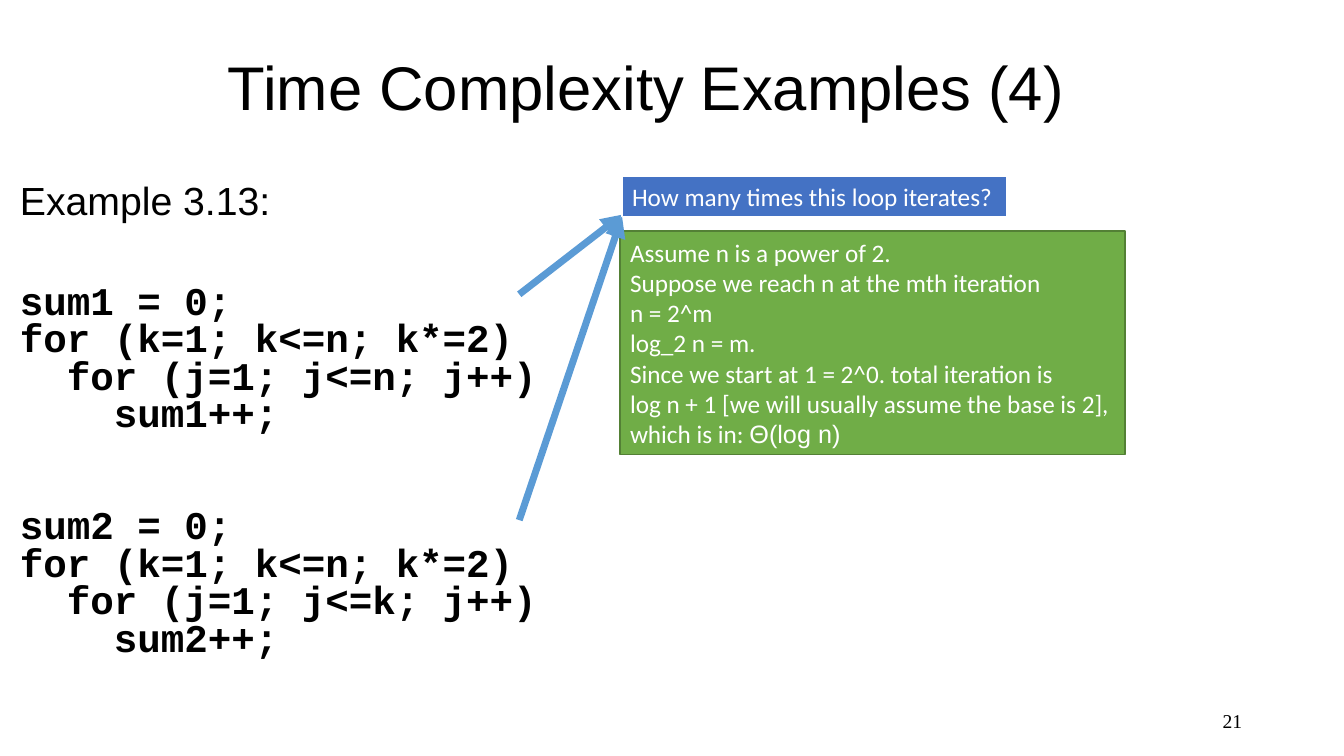
from pptx import Presentation
from pptx.dml.color import RGBColor
from pptx.enum.shapes import MSO_CONNECTOR, MSO_SHAPE
from pptx.enum.text import MSO_ANCHOR, MSO_AUTO_SIZE, PP_ALIGN
from pptx.oxml.ns import qn
from pptx.util import Pt
from lxml.etree import SubElement

EMU_PER_PX = 9144

ANSWER = [
    "Assume n is a power of 2.",
    "Suppose we reach n at the mth iteration",
    "n = 2^m",
    "log_2 n = m.",
    "Since we start at 1 = 2^0. total iteration is",
    "log n + 1 [we will usually assume the base is 2],",
    "which is in: ",
]


def px(length):
    return length * EMU_PER_PX


def color(value):
    return RGBColor.from_string(value)


def loop_code(total, limit):
    return [
        f"{total} = 0;",
        "for (k=1; k<=n; k*=2)",
        f"  for (j=1; j<={limit}; j++)",
        f"    {total}++;",
    ]


def set_font(font, name, size, value="000000", bold=False):
    font.name = name
    font.size = Pt(size)
    font.bold = bold
    font.color.rgb = color(value)


def add_text(slide, left, top, width, height, anchor=MSO_ANCHOR.TOP):
    shape = slide.shapes.add_textbox(px(left), px(top), px(width), px(height))
    frame = shape.text_frame
    frame.word_wrap = True
    frame.vertical_anchor = anchor
    return frame


def add_line_of_text(frame, text, name, size):
    paragraph = frame.paragraphs[0]
    paragraph.text = text
    set_font(paragraph.font, name, size)
    return paragraph


def add_code(frame, lines, gap):
    for index, line in enumerate(lines):
        paragraph = frame.add_paragraph()
        paragraph.text = line
        paragraph.line_spacing = 0.5
        paragraph.space_before = Pt(10 if index else gap)
        set_font(paragraph.font, "Courier New", 28, bold=True)


def add_note(slide, left, top, width, height, lines, fill, line, line_width):
    shape = slide.shapes.add_shape(
        MSO_SHAPE.RECTANGLE, px(left), px(top), px(width), px(height))
    shape.shadow.inherit = False
    shape.fill.solid()
    shape.fill.fore_color.rgb = color(fill)
    shape.line.color.rgb = color(line)
    shape.line.width = Pt(line_width)
    frame = shape.text_frame
    frame.word_wrap = False
    frame.auto_size = MSO_AUTO_SIZE.SHAPE_TO_FIT_TEXT
    frame.text = "\n".join(lines)
    for paragraph in frame.paragraphs:
        paragraph.alignment = PP_ALIGN.LEFT
        set_font(paragraph.font, "Calibri", 18, "FFFFFF")
    return frame


def add_arrow(slide, start, end):
    connector = slide.shapes.add_connector(
        MSO_CONNECTOR.STRAIGHT, *map(px, start + end))
    connector.line.color.rgb = color("5B9BD5")
    connector.line.width = Pt(5)
    SubElement(connector.line._get_or_add_ln(), qn("a:tailEnd"), type="triangle")
    SubElement(connector._element.spPr, qn("a:effectLst"))


def main():
    presentation = Presentation()
    presentation.slide_width = px(1333)
    presentation.slide_height = px(750)
    slide = presentation.slides.add_slide(presentation.slide_layouts[6])

    number = add_text(slide, 942, 695, 300, 40, MSO_ANCHOR.MIDDLE)
    add_line_of_text(number, "21", "Times New Roman", 14).alignment = PP_ALIGN.RIGHT

    title = add_text(slide, 216, 40, 900, 100, MSO_ANCHOR.MIDDLE)
    add_line_of_text(title, "Time Complexity Examples (4)", "Arial", 44).line_spacing = 0.9

    body = add_text(slide, 10, 175, 537, 500)
    add_line_of_text(body, "Example 3.13:", "Arial", 28).line_spacing = 0.9
    add_code(body, loop_code("sum1", "n"), 52)
    add_code(body, loop_code("sum2", "k"), 63)

    add_arrow(slide, (515, 292), (617, 213))
    add_note(slide, 617, 175, 382, 40, ["How many times this loop iterates?"],
             "4472C4", "FFFFFF", 1.5)
    answer = add_note(slide, 615, 229, 501, 222, ANSWER, "70AD47", "538035", 1)
    run = answer.paragraphs[-1].add_run()
    run.text = "Θ(log n)"
    run.font.name = "Arial"
    add_arrow(slide, (515, 516), (617, 215))

    presentation.save("out.pptx")


if __name__ == "__main__":
    main()
